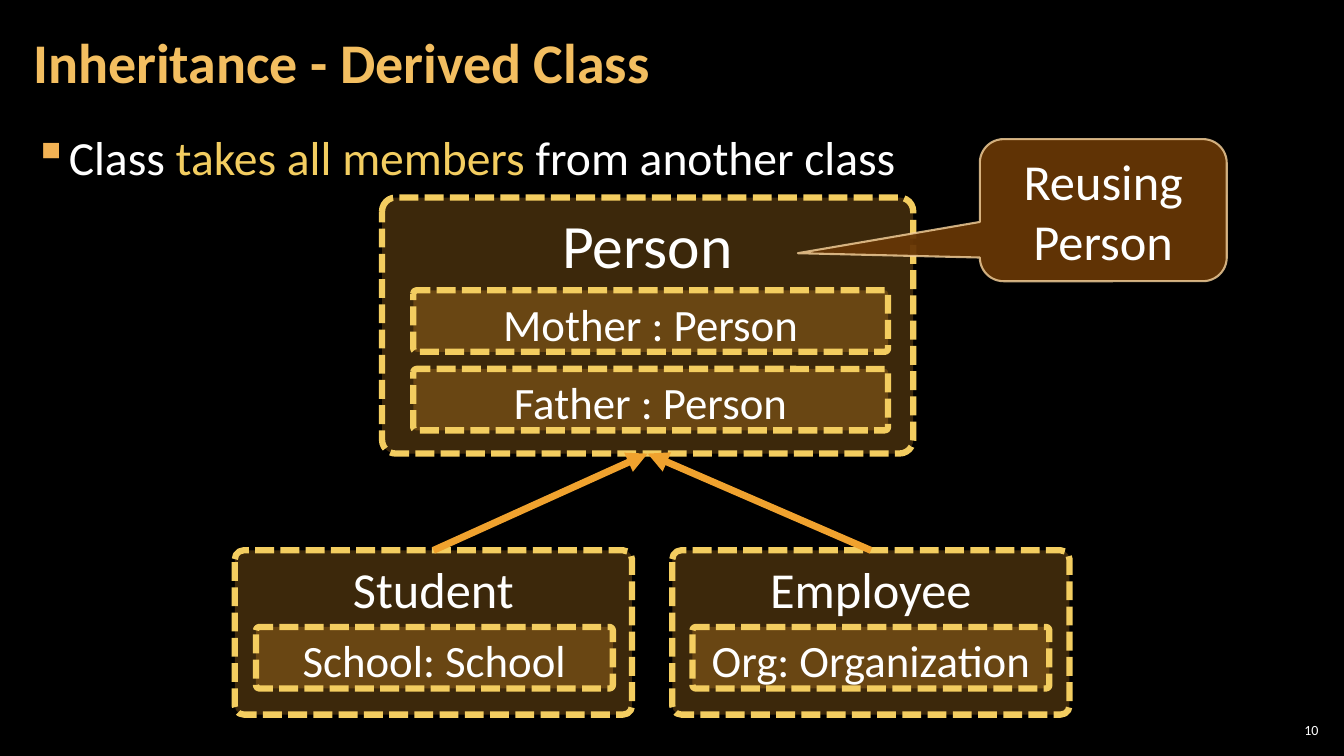
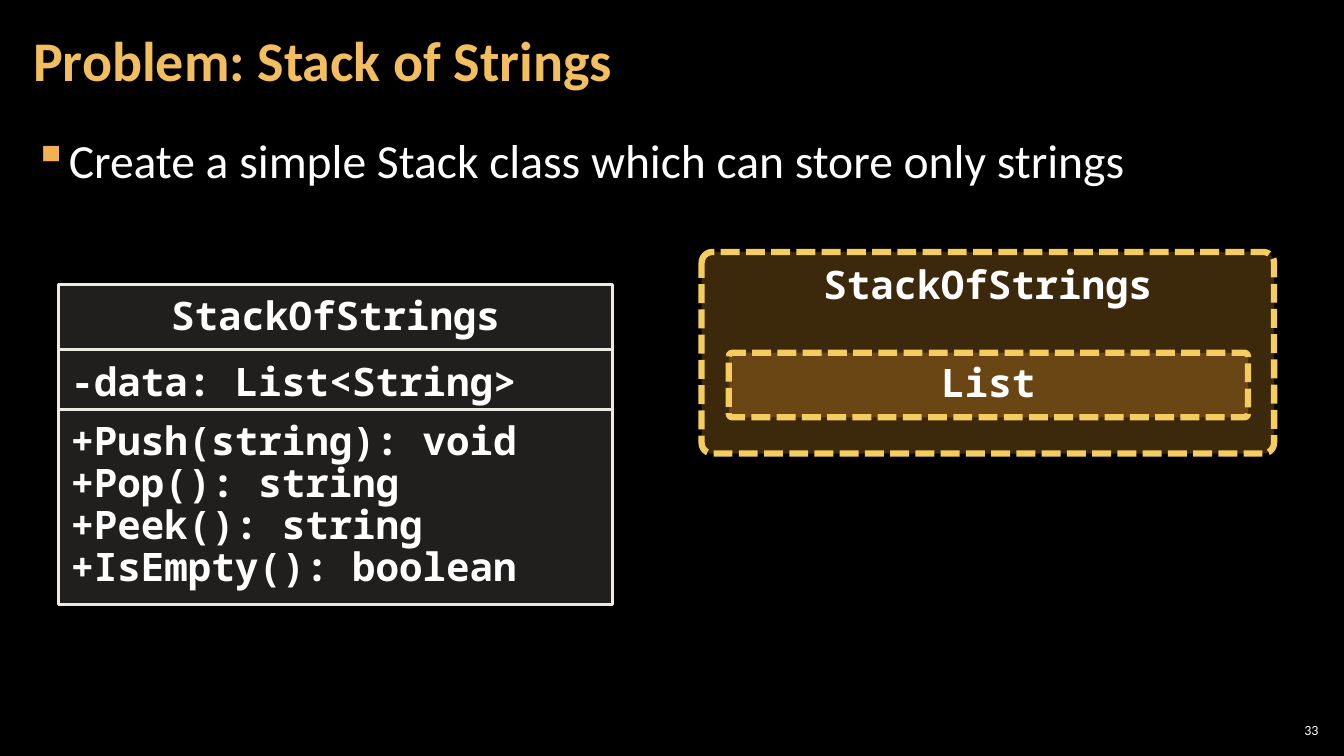
from dataclasses import dataclass
from typing import NamedTuple

import lxml.etree
import pptx
import pptx.dml.color
import pptx.enum.dml
import pptx.enum.shapes
import pptx.enum.text
import pptx.oxml.ns
import pptx.util

COLOURS = {
    "black": "000000",
    "white": "FFFFFF",
    "title": "F3BE60",
    "bullet": "F2B254",
    "highlight": "F3CD60",
    "orange": "F0A22E",
    "brown": "663606",
    "sand": "F8D49E",
    "stone": "D9D5C7",
    "ivory": "ECEAE3",
}
BODY_FONT = "Calibri"
CODE_FONT = "Noto Sans Mono"
CELL = 0.1  # inches: side of one square of the layout grid
COLUMNS, ROWS = 133.33, 75
MEMBER_PITCH = 7.8

SHAPES = pptx.enum.shapes.MSO_SHAPE
ALIGN = pptx.enum.text.PP_ALIGN
ANCHOR = pptx.enum.text.MSO_ANCHOR
qn = pptx.oxml.ns.qn


class Frame(NamedTuple):
    """Left, top, width and height in grid cells."""
    left: float
    top: float
    width: float
    height: float


class Span(NamedTuple):
    text: str
    colour: str = "white"


class Compartment(NamedTuple):
    lines: tuple[str, ...]
    height: float
    align: ALIGN = ALIGN.LEFT


@dataclass(frozen=True)
class ClassBox:
    name: str
    frame: Frame
    members: tuple[str, ...]
    first_member: Frame
    name_size: int
    member_size: int = 32
    font: str = BODY_FONT
    bold: bool = False


TITLE_FRAME = Frame(2.1, 0.4, 104.7, 12.1)
NUMBER_FRAME = Frame(126.5, 71.4, 4.7, 2.1)

PERSON = ClassBox("Person", Frame(37.9, 19.6, 52.7, 25.4),
                  ("Mother : Person", "Father : Person"), Frame(41, 28.8, 47.1, 6.1), 44)
DERIVED = (
    ClassBox("Student", Frame(23.3, 54.6, 39.4, 16.3),
             ("School: School",), Frame(25.4, 62.2, 35.4, 6.1), 36),
    ClassBox("Employee", Frame(66.7, 54.6, 39.4, 16.3),
             ("Org: Organization",), Frame(68.7, 62.2, 35.4, 6.1), 36),
)
STACK = ClassBox("StackOfStrings", Frame(69.6, 25, 56.8, 20),
                 ("List",), Frame(72.3, 35, 51.5, 6.4), 28, 28, CODE_FONT, True)
COMPARTMENTS = (
    Compartment(("StackOfStrings",), 6.5, ALIGN.CENTER),
    Compartment(("-data: List<String>",), 5.9),
    Compartment(("+Push(string): void", "+Pop(): string",
                 "+Peek(): string", "+IsEmpty(): boolean"), 19.4),
)


def cells(count: float) -> pptx.util.Length:
    return pptx.util.Inches(count * CELL)


def rgb(name: str) -> pptx.dml.color.RGBColor:
    return pptx.dml.color.RGBColor.from_string(COLOURS[name])


def set_opacity(holder, percent: int) -> None:
    """Set the opacity of the solid fill held by a spPr or a:ln element."""
    colour = holder.find(qn("a:solidFill"))[0]
    lxml.etree.SubElement(colour, qn("a:alpha"), val=str(percent * 1000))


def write_text(box, *lines: str | tuple[Span, ...], size: float, colour: str = "white",
               font: str = BODY_FONT, bold: bool = False, align: ALIGN = ALIGN.LEFT,
               anchor: ANCHOR = ANCHOR.TOP, inset: tuple[float, float] = (1, 0.5),
               spacing: float | pptx.util.Length = 1.0, bulleted: bool = False) -> None:
    """Fill a shape with one paragraph per line; inset is (sides, top and bottom)."""
    frame = box.text_frame
    frame.word_wrap = True
    frame.vertical_anchor = anchor
    frame.margin_left = frame.margin_right = cells(inset[0])
    frame.margin_top = frame.margin_bottom = cells(inset[1])
    for index, line in enumerate(lines):
        para = frame.add_paragraph() if index else frame.paragraphs[0]
        para.alignment = align
        para.line_spacing = spacing
        if bulleted:
            add_bullet(para)
        for span in (Span(line, colour),) if isinstance(line, str) else line:
            run = para.add_run()
            run.text = span.text
            run.font.name = font
            run.font.size = pptx.util.Pt(size)
            run.font.bold = bold
            run.font.color.rgb = rgb(span.colour)


def add_bullet(para) -> None:
    para.space_before = para.space_after = pptx.util.Pt(6)
    properties = para._p.get_or_add_pPr()
    properties.set("marL", str(cells(3.3)))
    properties.set("indent", str(-cells(3.3)))
    colour = lxml.etree.SubElement(properties, qn("a:buClr"))
    lxml.etree.SubElement(colour, qn("a:srgbClr"), val=COLOURS["bullet"])
    lxml.etree.SubElement(properties, qn("a:buChar"), char="▪")


def add_text_box(page, frame: Frame, *lines: str | tuple[Span, ...], **text_format) -> None:
    box = page.shapes.add_textbox(*map(cells, frame))
    write_text(box, *lines, **text_format)


def add_panel(page, kind: SHAPES, frame: Frame, fill: str, opacity: int, line: str,
              line_width: float, adjustments: tuple[float, ...] = ()):
    panel = page.shapes.add_shape(kind, *map(cells, frame))
    panel.shadow.inherit = False
    for index, value in enumerate(adjustments):
        panel.adjustments[index] = value
    panel.fill.solid()
    panel.fill.fore_color.rgb = rgb(fill)
    set_opacity(panel._element.spPr, opacity)
    panel.line.color.rgb = rgb(line)
    panel.line.width = pptx.util.Pt(line_width)
    return panel


def add_dashed_box(page, frame: Frame, label: str, **text_format):
    box = add_panel(page, SHAPES.ROUNDED_RECTANGLE, frame, "orange", 25,
                    "highlight", 4.5, (0.054,))
    box.line.dash_style = pptx.enum.dml.MSO_LINE.SQUARE_DOT
    write_text(box, label, align=ALIGN.CENTER, **text_format)
    return box


def add_class_box(page, item: ClassBox):
    style = {"font": item.font, "bold": item.bold}
    outer = add_dashed_box(page, item.frame, item.name, size=item.name_size, **style)
    for index, member in enumerate(item.members):
        frame = item.first_member._replace(top=item.first_member.top + index * MEMBER_PITCH)
        add_dashed_box(page, frame, member, size=item.member_size, **style)
    return outer


def add_inheritance_arrow(page, derived, base) -> None:
    arrow = page.shapes.add_connector(pptx.enum.shapes.MSO_CONNECTOR.STRAIGHT, 0, 0, 0, 0)
    arrow.begin_connect(derived, 0)
    arrow.end_connect(base, 2)
    arrow.line.color.rgb = rgb("orange")
    arrow.line.width = pptx.util.Pt(5)
    lxml.etree.SubElement(arrow.line._get_or_add_ln(), qn("a:tailEnd"), type="triangle")
    lxml.etree.SubElement(arrow._element.spPr, qn("a:effectLst"))


def add_callout(page) -> None:
    callout = add_panel(page, SHAPES.ROUNDED_RECTANGULAR_CALLOUT, Frame(97.2, 13.8, 24.5, 14.1),
                        "brown", 95, "sand", 1.5, (-1.237, 0.303, 0.167))
    set_opacity(callout._element.spPr.find(qn("a:ln")), 80)
    write_text(callout, "Reusing Person", size=36, align=ALIGN.CENTER, anchor=ANCHOR.MIDDLE)


def add_class_diagram(page) -> None:
    """Stack the compartments of the class diagram from the top down."""
    top = 28.2
    for part in COMPARTMENTS:
        panel = add_panel(page, SHAPES.RECTANGLE, Frame(5.8, top, 55, part.height),
                          "stone", 15, "ivory", 2)
        write_text(panel, *part.lines, size=28, font=CODE_FONT, bold=True, align=part.align,
                   inset=(1.2, 1.2), spacing=pptx.util.Pt(30))
        top += part.height


def add_page(deck, title: str, number: int, body: tuple[Span, ...], body_top: float,
             body_spacing: float = 1.0, title_spacing: float | pptx.util.Length = 0.9):
    """Add a slide with the title, bullet and number that all slides share."""
    page = deck.slides.add_slide(deck.slide_layouts[6])
    add_text_box(page, Frame(2.1, body_top, 129.1, 60.9), body, size=34, inset=(1.2, 0.4),
                 spacing=body_spacing, bulleted=True)
    add_text_box(page, TITLE_FRAME, title, size=40, colour="title", bold=True,
                 anchor=ANCHOR.MIDDLE, inset=(1.2, 0.4), spacing=title_spacing)
    add_text_box(page, NUMBER_FRAME, str(number), size=10, align=ALIGN.RIGHT,
                 anchor=ANCHOR.MIDDLE, inset=(0.4, 0.4))
    return page


def add_inheritance_page(deck) -> None:
    body = (Span("Class"), Span(" takes all members ", "highlight"), Span("from another class"))
    page = add_page(deck, "Inheritance - Derived Class", 10, body, 11.7, body_spacing=1.1)
    person = add_class_box(page, PERSON)
    for item in DERIVED:
        add_inheritance_arrow(page, add_class_box(page, item), person)
    add_callout(page)


def add_stack_page(deck) -> None:
    body = (Span("Create a simple Stack class which can store only strings"),)
    page = add_page(deck, "Problem: Stack of Strings", 33, body, 12.6,
                    title_spacing=pptx.util.Pt(40))
    add_class_diagram(page)
    add_class_box(page, STACK)


def main() -> None:
    deck = pptx.Presentation()
    deck.slide_width, deck.slide_height = cells(COLUMNS), cells(ROWS)
    background = deck.slide_master.background.fill
    background.solid()
    background.fore_color.rgb = rgb("black")
    add_inheritance_page(deck)
    add_stack_page(deck)
    deck.save("out.pptx")


if __name__ == "__main__":
    main()
